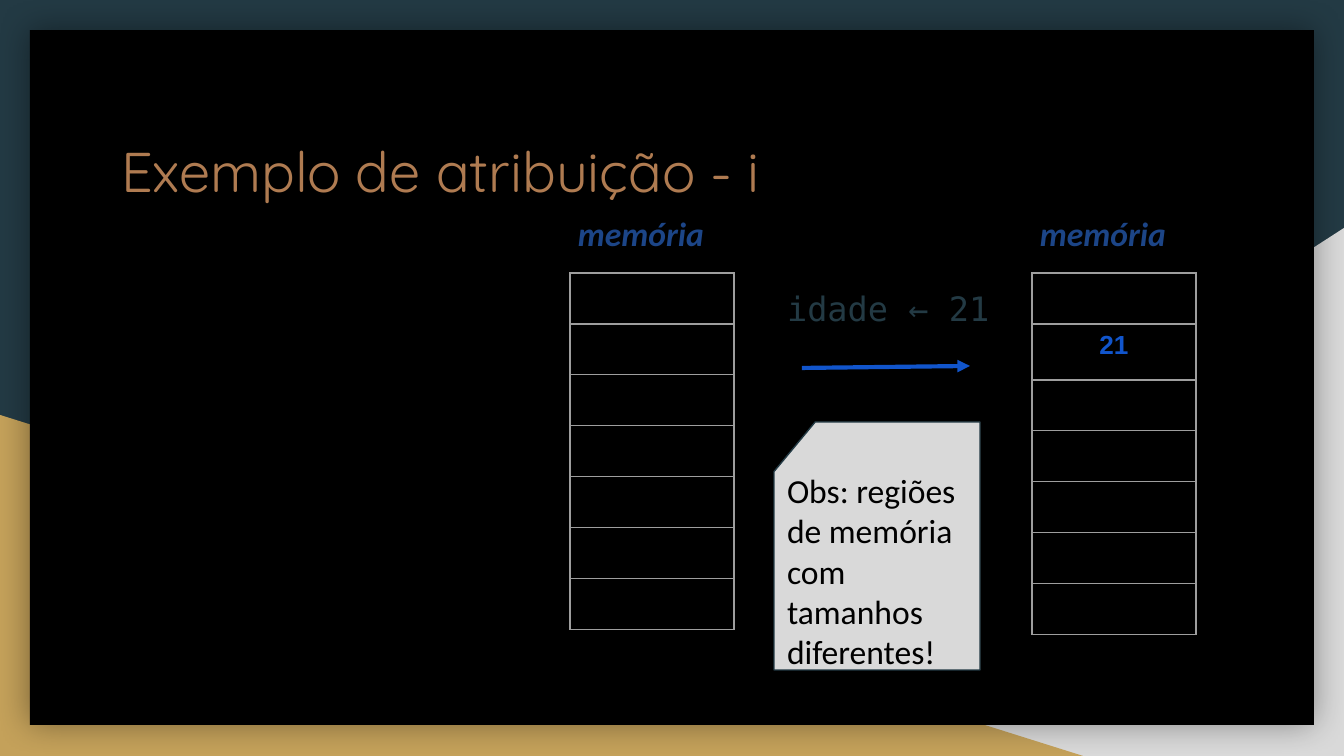
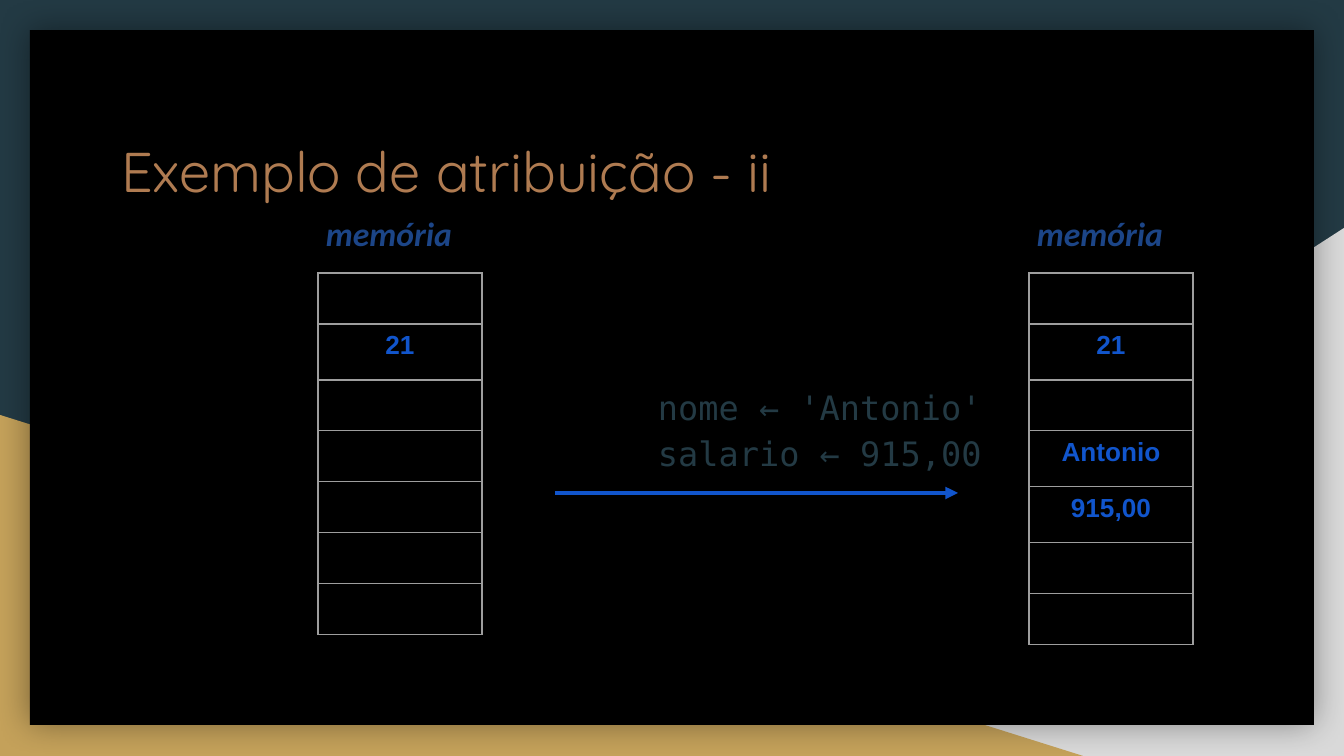
from dataclasses import dataclass
from lxml import etree
from pptx import Presentation
from pptx.dml.color import RGBColor
from pptx.enum.shapes import MSO_CONNECTOR, MSO_SHAPE
from pptx.enum.text import MSO_ANCHOR, PP_ALIGN
from pptx.oxml.ns import qn
from pptx.util import Pt

RECT = MSO_SHAPE.RECTANGLE
WEDGE = MSO_SHAPE.RIGHT_TRIANGLE
CARD = MSO_SHAPE.FLOWCHART_CARD
STRAIGHT = MSO_CONNECTOR.STRAIGHT
TOP, MIDDLE = MSO_ANCHOR.TOP, MSO_ANCHOR.MIDDLE
LEFT, CENTER = PP_ALIGN.LEFT, PP_ALIGN.CENTER
SCALE = 914400 / 134.4


@dataclass(frozen=True)
class Theme:
    back: str = "233A44"
    light: str = "D9D9D9"
    gold: str = "C4A15A"
    black: str = "000000"
    grid: str = "9E9E9E"
    blue: str = "1155CC"
    thin: float = 0.75
    thick: float = 2.25
    title = dict(name="Quicksand", size=30, color="AF7B51")
    label = dict(name="Calibri", size=18, color="1C4587", bold=True, italic=True)
    code = dict(name="DejaVu Sans Mono", size=18, color="233A44")
    value = dict(name="Arial", size=14, color="1155CC", bold=True)
    note = dict(name="Calibri", size=18, color="000000")


def px(n):
    return round(n * SCALE)


def rgb(code):
    return RGBColor.from_string(code)


def assign(target, values):
    for name, value in values.items():
        setattr(target, name, value)


def node(parent, tag, **attrs):
    return etree.SubElement(parent, qn(tag), {k: str(v) for k, v in attrs.items()})


class Deck:
    def __init__(self, theme):
        self.theme = theme
        self.prs = Presentation()
        assign(self.prs, dict(slide_width=px(1344), slide_height=px(756)))

    def start(self, title):
        t = self.theme
        self.slide = self.prs.slides.add_slide(self.prs.slide_layouts[6])
        self.shapes = self.slide.shapes
        fill = self.slide.background.fill
        fill.solid()
        fill.fore_color.rgb = rgb(t.back)
        wedge = self.shape(WEDGE, (527, 228, 817, 528), t.light)
        wedge._element.spPr.get_or_add_xfrm().set("flipH", "1")
        self.shape(WEDGE, (0, 415, 1083, 341), t.gold)
        panel = self.shape(RECT, (30, 30, 1284, 695), t.black)
        effects = panel._element.spPr.find(qn("a:effectLst"))
        shade = node(effects, "a:outerShdw", blurRad=Pt(18), dist=0, dir=0,
                     algn="ctr", rotWithShape=0)
        node(node(shade, "a:srgbClr", val=t.black), "a:alpha", val=40000)
        self.text(title, (121, 124, 1103, 140), t.title, (0, 13, 0, 13))

    def shape(self, kind, box, color, line=None):
        shape = self.shapes.add_shape(kind, *map(px, box))
        shape.shadow.inherit = False
        shape.fill.solid()
        shape.fill.fore_color.rgb = rgb(color)
        if line:
            shape.line.color.rgb = rgb(line)
            shape.line.width = Pt(self.theme.thin)
        else:
            shape.line.fill.background()
        return shape

    def put(self, frame, text, style, **layout):
        para = frame.paragraphs[0]
        para.text = text
        assign(para, dict(alignment=LEFT) | layout)
        for run in para.runs:
            font = dict(style)
            run.font.color.rgb = rgb(font.pop("color"))
            assign(run.font, font | dict(size=Pt(font["size"])))
        return para

    def inset(self, target, sides):
        names = ("margin_left", "margin_top", "margin_right", "margin_bottom")
        assign(target, dict(zip(names, map(px, sides))))

    def text(self, text, box, style, sides=(13, 9, 13, 7), **layout):
        frame = self.shapes.add_textbox(*map(px, box)).text_frame
        assign(frame, dict(word_wrap=True, vertical_anchor=TOP))
        self.inset(frame, sides)
        return self.put(frame, text, style, **layout)

    def code(self, text, box, indent=0):
        para = self.text(text, box, self.theme.code, line_spacing=1.15,
                         space_after=Pt(16))
        para._p.get_or_add_pPr().set("marL", str(px(indent)))

    def note(self, text, box):
        t = self.theme
        frame = self.shape(CARD, box, t.light, t.back).text_frame
        assign(frame, dict(word_wrap=True, vertical_anchor=MIDDLE))
        self.inset(frame, (13,) * 4)
        self.put(frame, text, t.note)

    def arrow(self, *ends):
        link = self.shapes.add_connector(STRAIGHT, *map(px, ends))
        link.line.color.rgb = rgb(self.theme.blue)
        link.line.width = Pt(self.theme.thick)
        node(link._element.spPr.find(qn("a:ln")), "a:tailEnd", type="triangle")
        node(link._element.spPr, "a:effectLst")

    def border(self, cell):
        props = cell._tc.get_or_add_tcPr()
        for spot, side in enumerate("LRTB"):
            line = node(props, f"a:ln{side}", w=Pt(self.theme.thin))
            node(node(line, "a:solidFill"), "a:srgbClr", val=self.theme.grid)
            props.insert(spot, line)

    def memory(self, left, values, count=7):
        self.text("memória", (left - 5, 208, 153, 51), self.theme.label,
                  line_spacing=0.93)
        sizes = [56 if row in values else 51 for row in range(count)]
        frame = self.shapes.add_table(count, 1, *map(px, (left, 273, 164, sum(sizes))))
        table = frame.table
        assign(table, dict(first_row=False, horz_banding=False))
        for row, size in enumerate(sizes):
            table.rows[row].height = px(size)
            cell = table.cell(row, 0)
            cell.fill.background()
            self.border(cell)
            if row in values:
                self.inset(cell, (13, 7, 13, 7))
                self.put(cell.text_frame, values[row], self.theme.value,
                         alignment=CENTER)
            else:
                self.inset(cell, (13, 0, 13, 0))


deck = Deck(Theme())

deck.start("Exemplo de atribuição - i")
deck.memory(570, {})
deck.memory(1032, {1: "21"})
deck.code("idade ← 21", (774, 273, 239, 51))
deck.arrow(802, 368, 970, 366)
deck.note("Obs: regiões de memória com tamanhos diferentes!", (774, 422, 206, 248))

deck.start("Exemplo de atribuição - ii")
deck.memory(1029, {1: "21", 3: "Antonio", 4: "915,00"})
deck.memory(318, {1: "21"})
deck.code("nome ← 'Antonio'\vsalario ← 915,00", (511, 372, 492, 121), 134)
deck.arrow(555, 493, 958, 493)

deck.prs.save("out.pptx")
